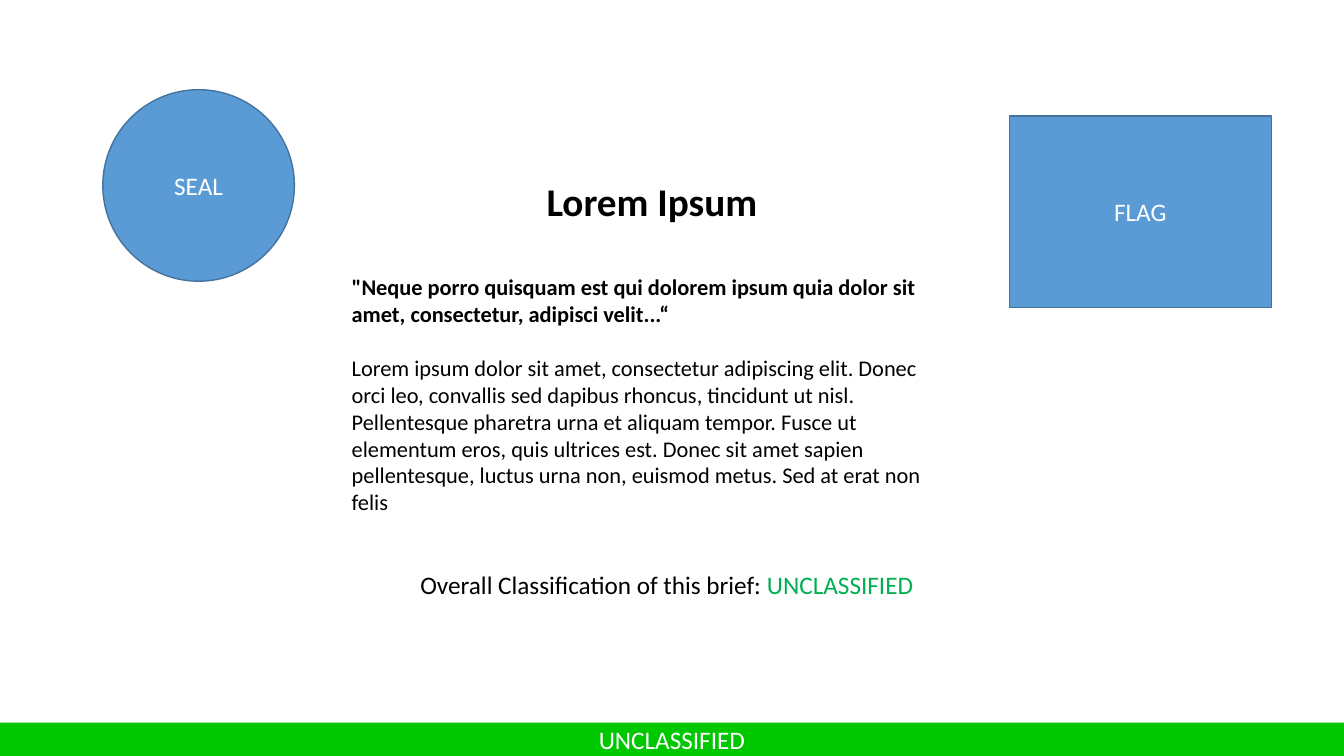
from dataclasses import dataclass

from pptx import Presentation
from pptx.dml.color import RGBColor
from pptx.enum.shapes import MSO_SHAPE as Preset
from pptx.enum.text import MSO_ANCHOR as Anchor, MSO_AUTO_SIZE as AutoSize, PP_ALIGN as Align
from pptx.util import Inches, Pt


@dataclass(frozen=True)
class Theme:
    font: str = "Calibri"
    text: RGBColor = RGBColor(0, 0, 0)
    light: RGBColor = RGBColor(255, 255, 255)
    emblem: RGBColor = RGBColor.from_string("5B9BD5")
    outline: RGBColor = RGBColor.from_string("43739E")
    marking: RGBColor = RGBColor.from_string("00B050")
    banner: RGBColor = RGBColor.from_string("00C800")
    title_size: int = 28
    label_size: int = 18
    body_size: int = 16


THEME = Theme()
WIDTH, HEIGHT = 13.33, 7.5
MARKING = "UNCLASSIFIED"
QUOTE = ('"Neque porro quisquam est qui dolorem ipsum quia dolor sit amet, '
         "consectetur, adipisci velit...\u201c")
SUMMARY = ("Lorem ipsum dolor sit amet, consectetur adipiscing elit. Donec orci leo, "
           "convallis sed dapibus rhoncus, tincidunt ut nisl. Pellentesque pharetra urna "
           "et aliquam tempor. Fusce ut elementum eros, quis ultrices est. Donec sit amet "
           "sapien pellentesque, luctus urna non, euismod metus. Sed at erat non felis")


def format_paragraph(paragraph, size, color=THEME.text, bold=False, align=Align.LEFT):
    paragraph.alignment = align
    font = paragraph.font
    font.name, font.size, font.bold = THEME.font, Pt(size), bold
    font.color.rgb = color


def add_label_shape(slide, preset, box, label, fill, outline=None):
    shape = slide.shapes.add_shape(preset, *map(Inches, box))
    shape.shadow.inherit = False
    shape.fill.solid()
    shape.fill.fore_color.rgb = fill
    if outline is None:
        shape.line.fill.background()
    else:
        shape.line.color.rgb = outline
        shape.line.width = Pt(1)
    frame = shape.text_frame
    frame.text = label
    frame.vertical_anchor = Anchor.MIDDLE
    format_paragraph(frame.paragraphs[0], THEME.label_size, THEME.light, align=Align.CENTER)


def place_title(slide, box, text):
    title = slide.shapes.title
    title.left, title.top, title.width, title.height = map(Inches, box)
    frame = title.text_frame
    frame.text = text
    frame.auto_size = AutoSize.NONE
    frame.vertical_anchor = Anchor.TOP
    format_paragraph(frame.paragraphs[0], THEME.title_size, bold=True, align=Align.CENTER)


def add_briefing(slide, box):
    left, top, width, height = box
    title_height, body_offset = 0.58, 0.95
    place_title(slide, (left, top, width, title_height), "Lorem Ipsum")
    body_box = left, top + body_offset, width, height - body_offset
    frame = slide.shapes.add_textbox(*map(Inches, body_box)).text_frame
    frame.word_wrap = True
    quote, summary = frame.paragraphs[0], frame.add_paragraph()
    quote.text, summary.text = QUOTE, SUMMARY
    format_paragraph(quote, THEME.body_size, bold=True)
    format_paragraph(summary, THEME.body_size)
    summary.space_before = Pt(19.5)


def add_classification(slide, box):
    frame = slide.shapes.add_textbox(*map(Inches, box)).text_frame
    frame.word_wrap = False
    paragraph = frame.paragraphs[0]
    format_paragraph(paragraph, THEME.label_size)
    paragraph.add_run().text = "Overall Classification of this brief: "
    marking = paragraph.add_run()
    marking.text = MARKING
    marking.font.color.rgb = THEME.marking


def build_cover(presentation):
    slide = presentation.slides.add_slide(presentation.slide_layouts[5])
    banner_height = 0.33
    add_label_shape(slide, Preset.OVAL, (1.02, 0.89, 1.9, 1.9), "SEAL",
                    THEME.emblem, THEME.outline)
    add_label_shape(slide, Preset.RECTANGLE, (10.01, 1.15, 2.6, 1.9), "FLAG",
                    THEME.emblem, THEME.outline)
    add_briefing(slide, (3.39, 1.71, 6.15, 3.5))
    add_classification(slide, (4.07, 5.6, 5.15, 0.4))
    add_label_shape(slide, Preset.RECTANGLE,
                    (0, HEIGHT - banner_height, WIDTH, banner_height), MARKING, THEME.banner)


presentation = Presentation()
presentation.slide_width, presentation.slide_height = Inches(WIDTH), Inches(HEIGHT)
build_cover(presentation)
presentation.save("out.pptx")
